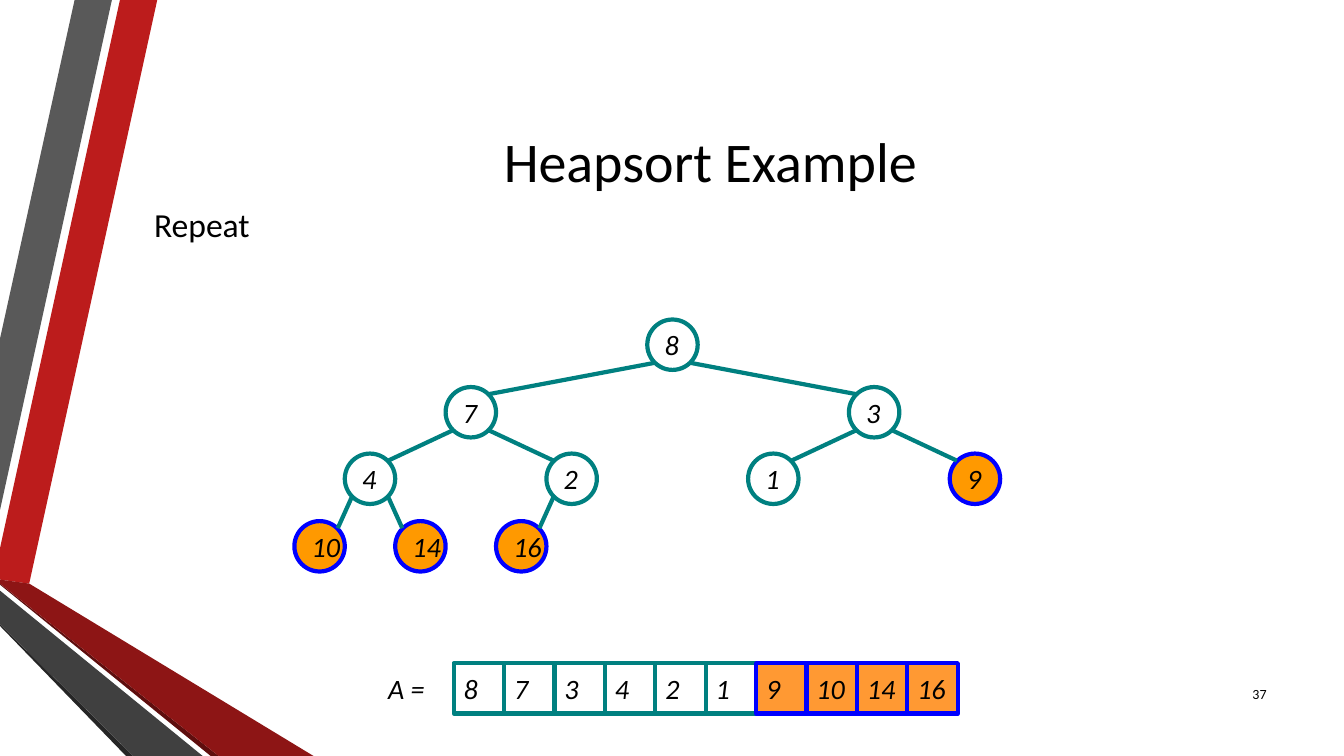
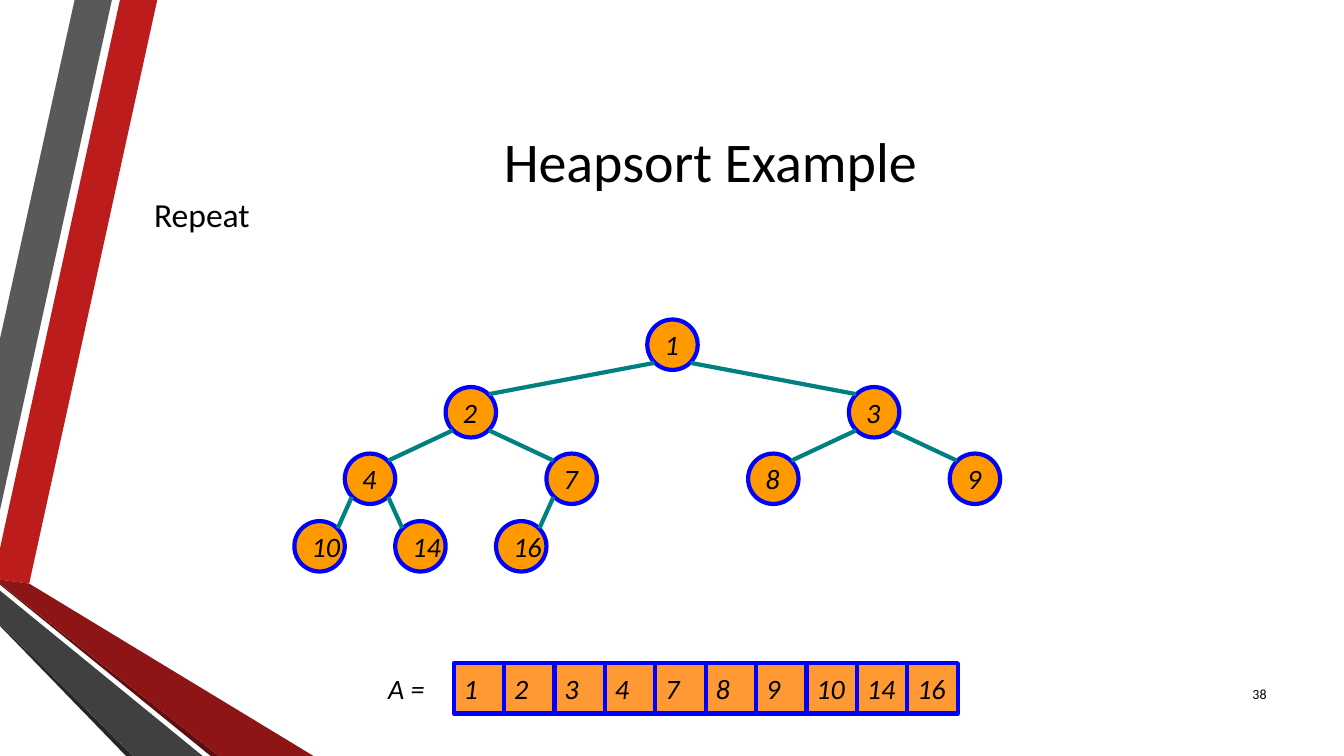
from pptx import Presentation
from pptx.dml.color import RGBColor
from pptx.enum.shapes import MSO_CONNECTOR, MSO_SHAPE
from pptx.enum.text import MSO_ANCHOR, PP_ALIGN
from pptx.oxml.ns import qn
from pptx.util import Pt

EMU_PER_PX = 9144  # 100 px to the inch
FONT = "Calibri"
COLORS = {
    "text": "000000",
    "white": "FFFFFF",
    "teal": "008080",
    "blue": "0000FF",
    "sorted_node": "FF9900",
    "sorted_cell": "FF9933",
    "red": "BC1C1C",
    "gray": "595959",
    "dark_gray": "262626",
    "dark_red": "5E0E0E",
    "fold_red": "8D1515",
    "fold_gray": "404040",
}
BANDS = [
    ("red", [(0, 544), (0, 575), (29, 579), (156, 0), (119, 0)]),
    ("gray", [(111, 0), (74, 0), (0, 336), (0, 506)]),
    ("dark_gray", [(0, 619), (0, 621), (125, 750), (132, 750)]),
    ("dark_red", [(0, 579), (0, 580), (209, 750), (217, 750)]),
    ("fold_red", [(0, 579), (217, 750), (311, 750), (29, 579), (0, 575)]),
    ("fold_gray", [(0, 619), (132, 750), (201, 750), (0, 586)]),
]
SIZE = 50  # side of a node and of an array cell
CORNER = 18  # from a node's centre to its diagonal points
ROOT_LEFT, ROOT_TOP = 642, 317
ARRAY_LEFT, ARRAY_TOP = 450, 658


def px(n):
    return round(n * EMU_PER_PX)


def rgb(name):
    return RGBColor.from_string(COLORS[name])


class Deck:
    def __init__(self):
        self.prs = Presentation()
        self.prs.slide_width, self.prs.slide_height = px(1333), px(750)
        self.layout = self.prs.slide_layouts[5]
        self.slide = None

    def add_slide(self, title):
        first = self.slide is None
        self.slide = self.prs.slides.add_slide(self.layout)
        if first:
            self.add_bands()
        sp = self.slide.shapes.title
        self.place(sp, 143, 50, 1123, 217)
        self.set_text(sp, title, 40, align=PP_ALIGN.CENTER, wrap=True)

    def add_bands(self):
        """Draw the bands once and hand them to the shared layout."""
        tree = self.layout.shapes.element
        for i, (color, points) in enumerate(BANDS):
            builder = self.slide.shapes.build_freeform(*points[0], scale=EMU_PER_PX)
            builder.add_line_segments(points[1:], close=True)
            sp = builder.convert_to_shape()
            self.paint(sp, color)
            sp.element.xpath(".//p:cNvPr")[0].set("id", str(100 + i))
            tree.insert(2 + i, sp.element)

    def place(self, sp, left, top, width, height):
        sp.left, sp.top, sp.width, sp.height = map(px, (left, top, width, height))

    def paint(self, sp, fill=None, line=None):
        sp.shadow.inherit = False
        if fill:
            sp.fill.solid()
            sp.fill.fore_color.rgb = rgb(fill)
        else:
            sp.fill.background()
        if line:
            sp.line.color.rgb = rgb(line)
            sp.line.width = Pt(3)
        else:
            sp.line.fill.background()

    def set_text(self, sp, text, size, align=PP_ALIGN.LEFT,
                 anchor=MSO_ANCHOR.MIDDLE, italic=False, wrap=False):
        tf = sp.text_frame
        tf.word_wrap = wrap
        tf.vertical_anchor = anchor
        p = tf.paragraphs[0]
        p.text = text
        p.alignment = align
        p.font.name = FONT
        p.font.size = Pt(size)
        p.font.italic = italic
        p.font.color.rgb = rgb("text")

    def text(self, box, text, size, **style):
        sp = self.slide.shapes.add_textbox(*map(px, box))
        self.set_text(sp, text, size, **style)

    def value(self, kind, left, top, number, fill, line):
        """Draw one number in a node or an array cell."""
        sp = self.slide.shapes.add_shape(kind, *map(px, (left, top, SIZE, SIZE)))
        self.paint(sp, fill, line)
        self.set_text(sp, str(number), 20, italic=True)

    def edge(self, x1, y1, x2, y2):
        line = self.slide.shapes.add_connector(
            MSO_CONNECTOR.STRAIGHT, *map(px, (x1, y1, x2, y2)))
        line.line.color.rgb = rgb("teal")
        line.line.width = Pt(3)
        sp_pr = line.element.spPr
        sp_pr.append(sp_pr.makeelement(qn("a:effectLst"), {}))

    def tree(self, numbers, unsorted):
        """Draw the heap; node i hangs below node (i - 1) // 2."""
        nodes = []
        for i, number in enumerate(numbers):
            level = (i + 1).bit_length() - 1
            left = ROOT_LEFT
            if i:
                side = -1 if i % 2 else 1
                left = nodes[(i - 1) // 2][0] + side * (400 >> level)
            top = ROOT_TOP + round(level * 200 / 3)
            nodes.append((left, top))
            colors = ("white", "teal") if i < unsorted else ("sorted_node", "blue")
            self.value(MSO_SHAPE.OVAL, left, top, number, *colors)
        centers = [(x + SIZE // 2, y + SIZE // 2) for x, y in nodes]
        for i, (x, y) in enumerate(centers[1:], 1):
            parent_x, parent_y = centers[(i - 1) // 2]
            dx = -CORNER if i % 2 else CORNER
            self.edge(parent_x + dx, parent_y + CORNER, x - dx, y - CORNER)

    def array(self, numbers, unsorted):
        for i, number in enumerate(numbers):
            colors = (None, "teal") if i < unsorted else ("sorted_cell", "blue")
            self.value(MSO_SHAPE.RECTANGLE, ARRAY_LEFT + i * SIZE, ARRAY_TOP,
                       number, *colors)
        self.text((375, ARRAY_TOP, 75, SIZE), "A =", 20, italic=True)


def main():
    deck = Deck()
    steps = [
        (37, 197, [8, 7, 3, 4, 2, 1, 9, 10, 14, 16], 6),
        (38, 187, [1, 2, 3, 4, 7, 8, 9, 10, 14, 16], 0),
    ]
    for page, body_top, numbers, unsorted in steps:
        deck.add_slide("Heapsort Example")
        deck.text((143, body_top, 1123, 656 - body_top), "Repeat", 24,
                  anchor=MSO_ANCHOR.TOP, wrap=True)
        deck.tree(numbers, unsorted)
        deck.array(numbers, unsorted)
        deck.text((1204, 668, 62, 40), str(page), 10, align=PP_ALIGN.RIGHT, wrap=True)
    deck.prs.save("out.pptx")


if __name__ == "__main__":
    main()
